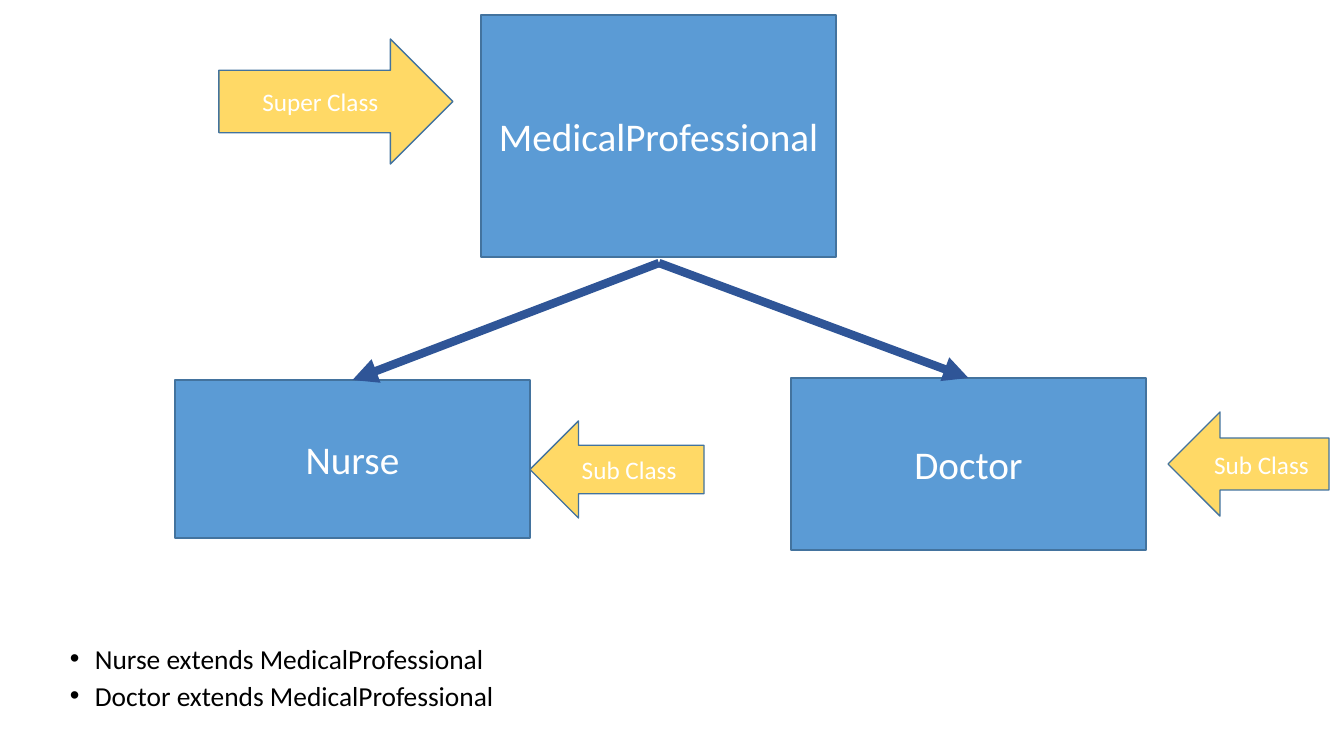
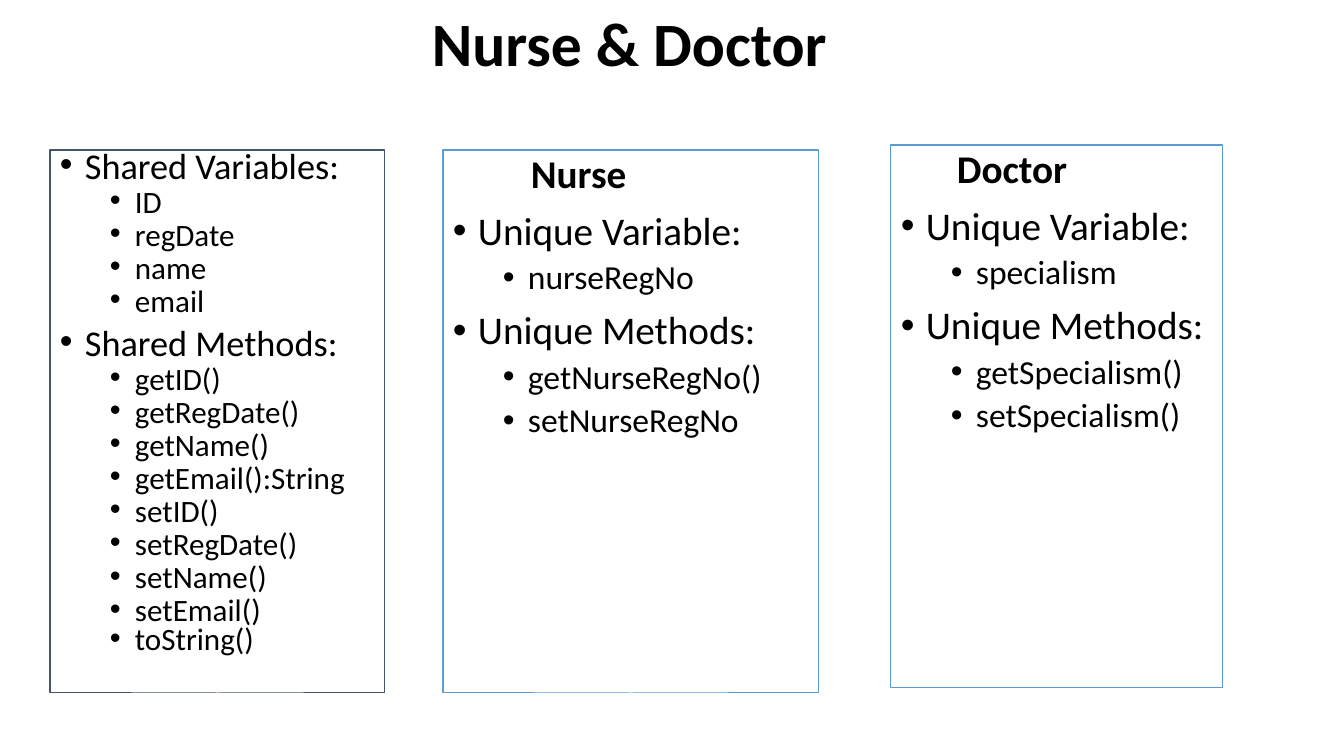
from lxml import etree
from pptx import Presentation
from pptx.dml.color import RGBColor
from pptx.enum.shapes import MSO_CONNECTOR, MSO_SHAPE
from pptx.enum.text import MSO_ANCHOR, MSO_AUTO_SIZE, PP_ALIGN
from pptx.oxml.ns import qn
from pptx.util import Emu, Pt

RECT = MSO_SHAPE.RECTANGLE
RIGHT = MSO_SHAPE.RIGHT_ARROW
LEFT = MSO_SHAPE.LEFT_ARROW
STRAIGHT = MSO_CONNECTOR.STRAIGHT
TOP, MIDDLE = MSO_ANCHOR.TOP, MSO_ANCHOR.MIDDLE
NO_FIT = MSO_AUTO_SIZE.NONE
CENTER, START = PP_ALIGN.CENTER, PP_ALIGN.LEFT

FONT = "Calibri"
BLUE, EDGE, NAVY, SLATE = "5B9BD5", "43739E", "2F5597", "44546A"
GOLD, BLACK, WHITE = "FFD966", "000000", "FFFFFF"

WIDE, HIGH = 1344, 756
STEP = 25
TITLE_LAYOUT, BLANK_LAYOUT = 5, 6

BOX = {"fill": BLUE, "size": 28}
ARROW = {"fill": GOLD, "size": 18}
PARENT = ("MedicalProfessional", RECT, (481, 15, 355, 242), BOX)
KIDS = [
    ("Nurse", RECT, (175, 380, 355, 158), BOX),
    ("Doctor", RECT, (791, 378, 355, 172), BOX),
]
LABELS = [
    ("Super Class", RIGHT, (219, 39, 234, 125), ARROW),
    ("Sub Class", LEFT, (530, 421, 174, 97), ARROW),
    ("Sub Class", LEFT, (1168, 412, 161, 104), ARROW),
]
FORK = (659, 263)

TITLE = "Nurse & Doctor"
TITLE_AT = (50, 8, 1159, 146)

STYLES = {
    "note": {"size": 19.6, "line": 0.7, "before": 10, "level": 0},
    "group": {"size": 25.9, "line": 0.7, "before": 10, "level": 0},
    "part": {"size": 22.2, "line": 0.7, "before": 5, "level": 1},
    "last": {"size": 22.2, "line": 0.8, "before": 0, "level": 1},
    "head": {"size": 28, "line": 0.9, "before": 10, "level": 0},
    "item": {"size": 24, "line": 0.9, "before": 5, "level": 1},
}

NOTES = [("note", ["Nurse extends MedicalProfessional",
                   "Doctor extends MedicalProfessional"])]
NOTES_AT = (60, 646, 1159, 73)

SHARED = [
    ("group", ["Shared Variables:"]),
    ("part", ["ID", "regDate", "name", "email"]),
    ("group", ["Shared Methods:"]),
    ("part", ["getID()", "getRegDate()", "getName()", "getEmail():String",
              "setID()", "setRegDate()", "setName()", "setEmail()"]),
    ("last", ["toString()"]),
]


def unique(field, methods):
    return [("head", ["Unique Variable:"]), ("item", [field]),
            ("head", ["Unique Methods:"]), ("item", methods)]


PANELS = [
    ((443, 150, 376, 543), BLUE, ("Nurse", 78),
     unique("nurseRegNo", ["getNurseRegNo()", "setNurseRegNo"])),
    ((891, 145, 332, 543), BLUE, ("Doctor", 56),
     unique("specialism", ["getSpecialism()", "setSpecialism()"])),
    ((50, 150, 335, 543), SLATE, None, SHARED),
]


def px(n):
    return Emu(round(n * 914400 / 100.8))


def color(code):
    return RGBColor.from_string(code)


def write(para, text, size, code, bold=False):
    run = para.add_run()
    run.text = text
    look = {"name": FONT, "size": Pt(size), "bold": bold}
    for key, value in look.items():
        setattr(run.font, key, value)
    run.font.color.rgb = color(code)


def frame(shape, anchor):
    text = shape.text_frame
    look = {"word_wrap": True, "auto_size": NO_FIT, "vertical_anchor": anchor}
    for key, value in look.items():
        setattr(text, key, value)
    return text


def add_para(text, align, line, before):
    first = text.paragraphs[0]
    para = text.add_paragraph() if first.runs else first
    look = {"alignment": align, "line_spacing": line,
            "space_before": Pt(before)}
    for key, value in look.items():
        setattr(para, key, value)
    return para


def add_list(text, groups):
    for name, lines in groups:
        style = STYLES[name]
        for line in lines:
            para = add_para(text, START, style["line"], style["before"])
            para.level = style["level"]
            props = para._p.get_or_add_pPr()
            props.set("marL", str(px(STEP * (1 + 2 * para.level))))
            props.set("indent", str(-px(STEP)))
            etree.SubElement(props, qn("a:buFont"), typeface="Arial")
            etree.SubElement(props, qn("a:buChar"), char="•")
            write(para, line, style["size"], BLACK)


def add_shape(slide, kind, at, fill, edge, width):
    shape = slide.shapes.add_shape(kind, *map(px, at))
    shape.shadow.inherit = False
    if fill:
        shape.fill.solid()
        shape.fill.fore_color.rgb = color(fill)
    else:
        shape.fill.background()
    shape.line.color.rgb = color(edge)
    shape.line.width = Pt(width)
    return shape


def add_label(slide, label, kind, at, look):
    shape = add_shape(slide, kind, at, look["fill"], EDGE, 1)
    para = add_para(frame(shape, MIDDLE), CENTER, 1.0, 0)
    write(para, label, look["size"], WHITE)
    return shape


def add_arrow(slide, start, target):
    x, y = map(px, start)
    link = slide.shapes.add_connector(STRAIGHT, x, y, x, y)
    link.end_connect(target, 0)
    link.line.color.rgb = color(NAVY)
    link.line.width = Pt(6)
    etree.SubElement(link.line._get_or_add_ln(), qn("a:tailEnd"),
                     type="triangle")
    etree.SubElement(link._element.spPr, qn("a:effectLst"))


def draw_tree(deck):
    slide = deck.slides.add_slide(deck.slide_layouts[BLANK_LAYOUT])
    notes = slide.shapes.add_textbox(*map(px, NOTES_AT))
    add_list(frame(notes, TOP), NOTES)
    add_label(slide, *PARENT)
    kids = [add_label(slide, *kid) for kid in KIDS]
    for kid in kids:
        add_arrow(slide, FORK, kid)
    for label in LABELS:
        add_label(slide, *label)


def draw_panels(deck):
    slide = deck.slides.add_slide(deck.slide_layouts[TITLE_LAYOUT])
    title = slide.shapes.title
    for key, value in zip(("left", "top", "width", "height"), TITLE_AT):
        setattr(title, key, px(value))
    para = add_para(frame(title, TOP), CENTER, 0.9, 0)
    write(para, TITLE, 44, BLACK, True)
    for at, edge, head, groups in PANELS:
        text = frame(add_shape(slide, RECT, at, None, edge, 0.75), TOP)
        if head:
            name, inset = head
            para = add_para(text, START, 0.9, 10)
            para._p.get_or_add_pPr().set("marL", str(px(inset)))
            write(para, name, 28, BLACK, True)
        add_list(text, groups)


def main():
    deck = Presentation()
    deck.slide_width, deck.slide_height = px(WIDE), px(HIGH)
    draw_tree(deck)
    draw_panels(deck)
    deck.save("out.pptx")


if __name__ == "__main__":
    main()
